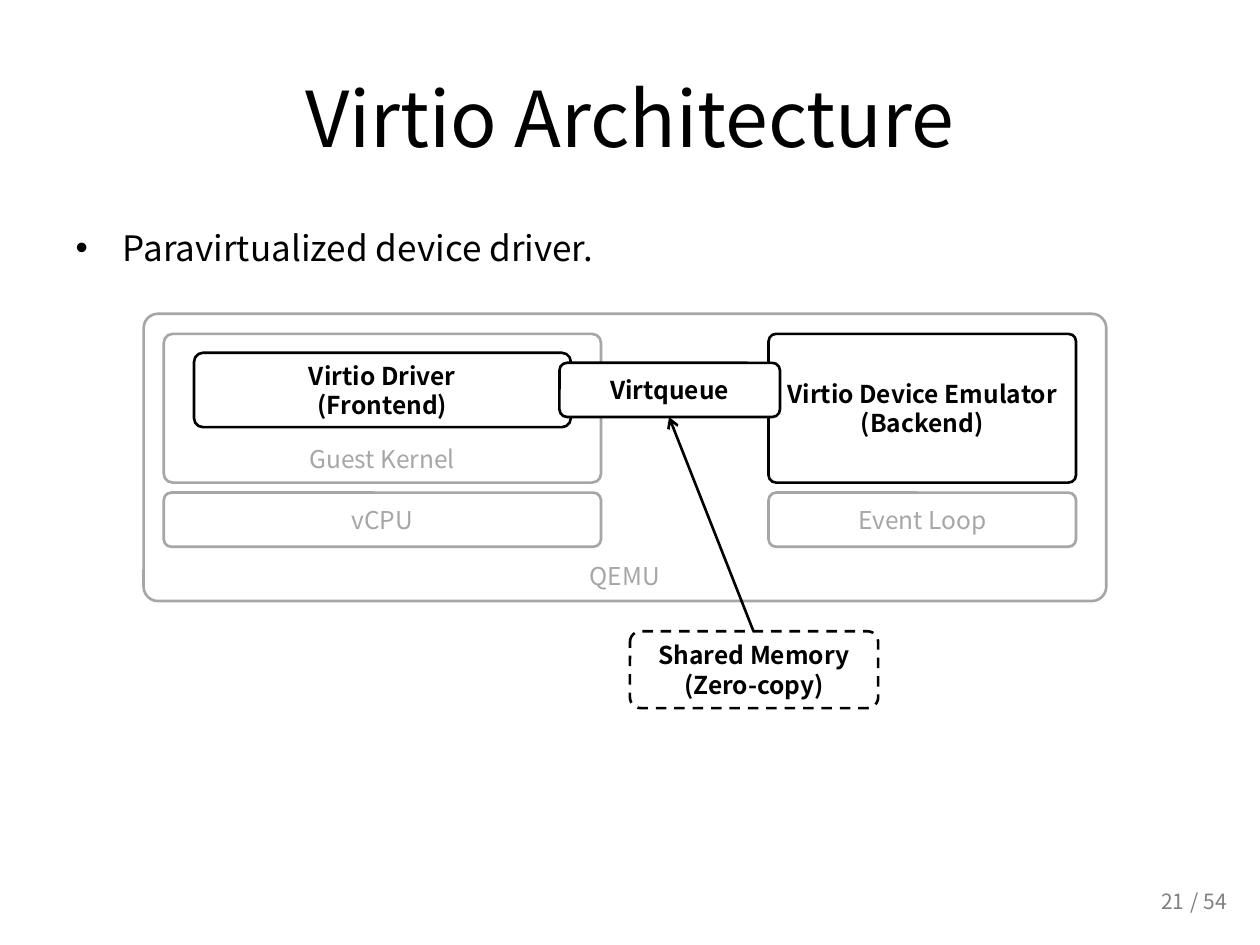
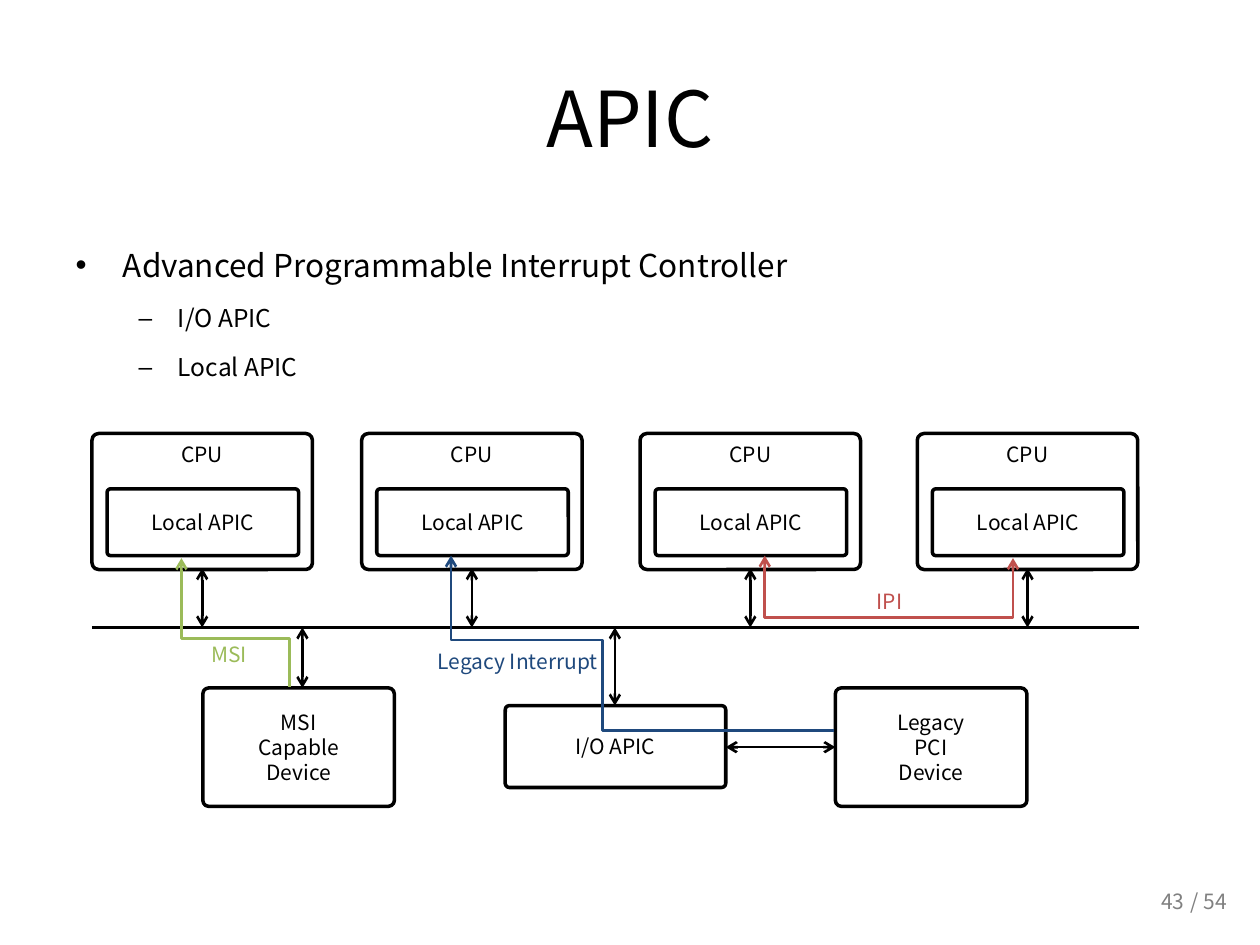
from dataclasses import dataclass
from pptx import Presentation
from pptx import util as u
from pptx.dml.color import RGBColor
from pptx.enum import dml, shapes, text
from pptx.oxml.xmlchemy import OxmlElement


@dataclass(frozen=True)
class Theme:
    face: str = "Noto Sans CJK KR"
    black: str = "000000"
    white: str = "FFFFFF"
    faint: str = "A6A6A6"
    foot: str = "808080"
    blue: str = "1F497D"
    green: str = "9BBB59"
    red: str = "C0504D"
    title: int = 44
    lead: int = 20
    list: int = 18
    item: int = 14
    small: int = 12
    thin: float = 1.5
    thick: float = 2
    bus: float = 2.25


T = Theme()
TOP, MID, LOW = text.MSO_ANCHOR.TOP, text.MSO_ANCHOR.MIDDLE, text.MSO_ANCHOR.BOTTOM
LEFT, MIDST, RIGHT = text.PP_ALIGN.LEFT, text.PP_ALIGN.CENTER, text.PP_ALIGN.RIGHT


def write(shape, words, size, ink, bold=False, anchor=MID, align=MIDST):
    frame = shape.text_frame
    frame.text = words
    frame.word_wrap = True
    frame.auto_size = text.MSO_AUTO_SIZE.NONE
    frame.vertical_anchor = anchor
    for para in frame.paragraphs:
        para.alignment = align
        for run in para.runs:
            run.font.name = T.face
            run.font.size = u.Pt(size)
            run.font.bold = bold
            run.font.color.rgb = RGBColor.from_string(ink)


def stroke(shape, ink, width, ends=()):
    shape.line.color.rgb = RGBColor.from_string(ink)
    shape.line.width = u.Pt(width)
    for end in ends:
        tip = OxmlElement(f"a:{end}End")
        tip.set("type", "arrow")
        shape.line._get_or_add_ln().append(tip)
    if shape.shape_type == shapes.MSO_SHAPE_TYPE.LINE:
        shape._element.spPr.append(OxmlElement("a:effectLst"))
    else:
        shape.shadow.inherit = False


deck = Presentation()
deck.slide_width, deck.slide_height = u.Inches(10), u.Inches(7.5)

# Shared frame: title, list, page number
pages = [
    ("Virtio Architecture", "21", 1.0, [("Paravirtualized device driver.", 0, T.lead)]),
    ("APIC", "43", 1.5, [("Advanced Programmable Interrupt Controller", 0, T.list),
                         ("I/O APIC", 1, T.item), ("Local APIC", 1, T.item)]),
]
for head, num, space, points in pages:
    slide = deck.slides.add_slide(deck.slide_layouts[1])
    title, body = slide.placeholders
    for holder, top, high in ((title, 0.3, 1.25), (body, 1.75, 4.95)):
        holder.left, holder.top = u.Inches(0.5), u.Inches(top)
        holder.width, holder.height = u.Inches(9), u.Inches(high)
    write(title, head, T.title, T.black)
    write(body, "\n".join(p[0] for p in points), T.item, T.black, anchor=TOP, align=LEFT)
    for para, (_, level, size) in zip(body.text_frame.paragraphs, points):
        para.level = level
        para.line_spacing = space
        para.runs[0].font.size = u.Pt(size)
    body.text_frame.paragraphs[0].space_before = u.Pt(0)
    for words, at, align in ((num, (7.17, 6.95, 2.33, 0.4), RIGHT),
                             ("/ 54", (9.35, 7, 0.65, 0.3), LEFT)):
        note = slide.shapes.add_textbox(*map(u.Inches, at))
        write(note, words, T.small, T.foot, align=align)

first, second = deck.slides

# Boxes of the Virtio stack: words, place, corner, ink, anchor
stack = [
    ("QEMU", (1.14, 2.49, 7.64, 2.28), 0.05, T.faint, LOW),
    ("Virtio Device Emulator\n(Backend)", (6.1, 2.65, 2.44, 1.18), 0.05, T.black, MID),
    ("Guest Kernel", (1.3, 2.65, 3.47, 1.18), 0.06, T.faint, LOW),
    ("Virtio Driver\n(Frontend)", (1.54, 2.8, 2.99, 0.59), 0.12, T.black, MID),
    ("vCPU", (1.3, 3.91, 3.47, 0.43), 0.14, T.faint, MID),
    ("Virtqueue", (4.44, 2.88, 1.75, 0.43), 0.14, T.black, MID),
    ("Shared Memory\n(Zero-copy)", (5, 5.01, 1.97, 0.61), 0.14, T.black, MID),
    ("Event Loop", (6.1, 3.91, 2.44, 0.43), 0.14, T.faint, MID),
]
# Boxes of the APIC system
chips = []
cores = (0.73, 2.87, 5.08, 7.28)
for left in cores:
    chips += [("CPU", (left, 3.44, 1.75, 1.08), 0.05, T.black, TOP),
              ("Local APIC", (left + 0.12, 3.88, 1.52, 0.53), 0.05, T.black, MID)]
chips += [
    ("I/O APIC", (4.01, 5.6, 1.75, 0.65), 0.05, T.black, MID),
    ("MSI\nCapable\nDevice", (1.61, 5.46, 1.52, 0.94), 0.05, T.black, MID),
    ("Legacy\nPCI\nDevice", (6.63, 5.46, 1.52, 0.94), 0.05, T.black, MID),
]
for slide, group, size, width in ((first, stack, T.item, T.thin),
                                  (second, chips, T.small, T.thick)):
    for words, at, curve, ink, anchor in group:
        box = slide.shapes.add_shape(shapes.MSO_SHAPE.ROUNDED_RECTANGLE, *map(u.Inches, at))
        box.adjustments[0] = curve
        box.fill.solid()
        box.fill.fore_color.rgb = RGBColor.from_string(T.white)
        stroke(box, ink, width)
        if words.startswith("Shared"):
            box.line.dash_style = dml.MSO_LINE.DASH
        write(box, words, size, ink, slide is first and ink == T.black, anchor)

# Straight links: slide, ends, width, arrowheads
both = ("head", "tail")
links = [
    (first, (5.98, 5.01, 5.31, 3.31), T.thin, ("tail",)),
    (second, (0.73, 4.98, 9.04, 4.98), T.bus, ()),
    (second, (2.4, 4.98, 2.4, 5.46), T.thin, both),
    (second, (5.76, 5.93, 6.63, 5.93), T.thin, both),
    (second, (4.88, 5.6, 4.88, 4.98), T.thin, both),
]
for left in cores:
    mid = left + 0.875
    links.append((second, (mid, 4.51, mid, 4.98), T.thin, both))
for slide, ends, width, tips in links:
    link = slide.shapes.add_connector(shapes.MSO_CONNECTOR.STRAIGHT, *map(u.Inches, ends))
    stroke(link, T.black, width, tips)

# Interrupt routes with their labels
routes = [
    ("Legacy Interrupt", (3.35, 4.98), T.blue, ("tail",),
     [(6.62, 5.8), (4.78, 5.8), (4.78, 5.08), (3.58, 5.08), (3.58, 4.41)]),
    ("MSI", (1.06, 4.93), T.green, ("tail",),
     [(2.3, 5.45), (2.3, 5.07), (1.44, 5.07), (1.44, 4.43)]),
    ("IPI", (6.3, 4.51), T.red, both,
     [(6.07, 4.41), (6.07, 4.9), (8.04, 4.9), (8.04, 4.43)]),
]
for words, (left, top), ink, tips, dots in routes:
    spots = [(u.Inches(x), u.Inches(y)) for x, y in dots]
    pen = second.shapes.build_freeform(*spots[0])
    pen.add_line_segments(spots[1:], close=False)
    route = pen.convert_to_shape()
    route.fill.background()
    stroke(route, ink, T.thin, tips)
    label = second.shapes.add_textbox(*map(u.Inches, (left, top, 1.52, 0.53)))
    write(label, words, T.small, ink)

deck.save("out.pptx")
